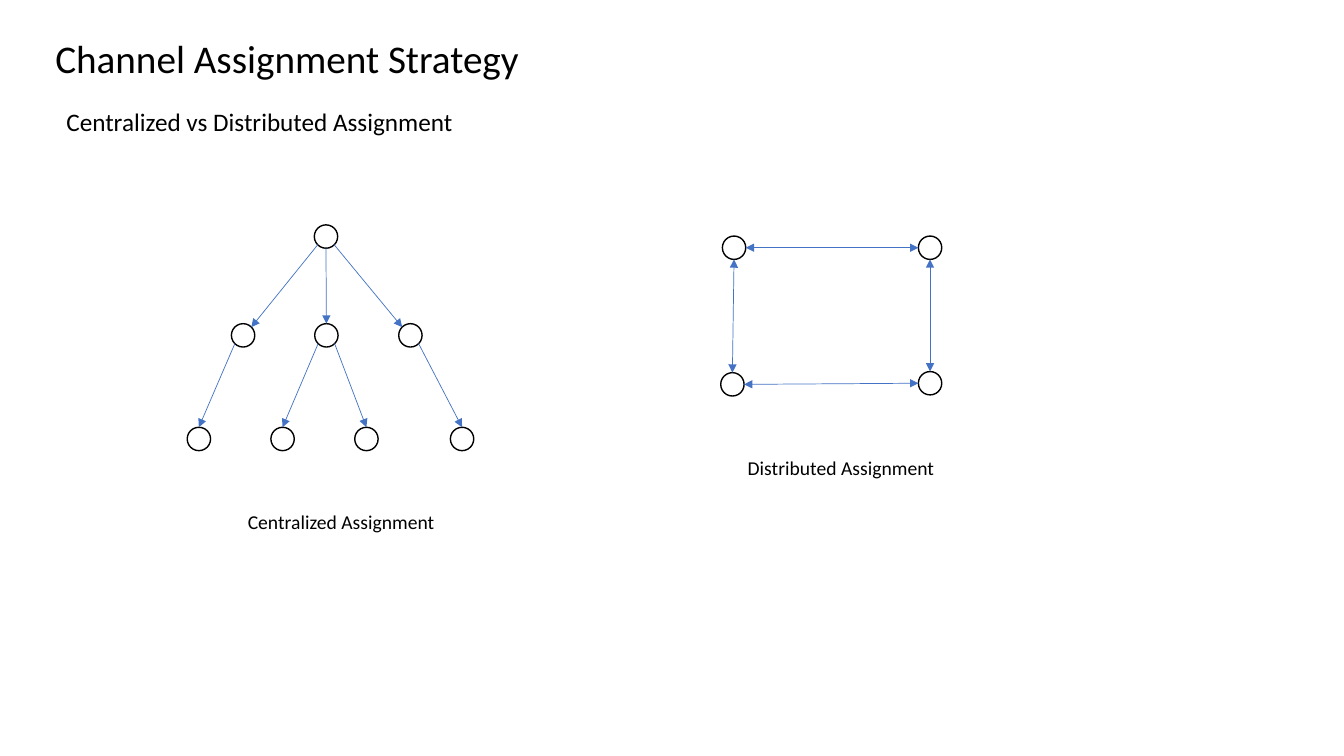
"""Build a slide comparing centralized and distributed channel assignment."""
from lxml import etree
from pptx import Presentation
from pptx import util as u
from pptx.dml.color import RGBColor
from pptx.enum import shapes, text
from pptx.oxml.ns import qn


def rgb(value):
    return RGBColor.from_string(value)


deck = Presentation()
deck.slide_width, deck.slide_height = u.Pt(960), u.Pt(540)
slide = deck.slides.add_slide(deck.slide_layouts[6])

labels = [
    ("Channel Assignment Strategy", 28, 32.4, 20.9, 349.2, 41.2, False),
    ("Centralized vs Distributed Assignment", 18, 40.3, 72.7, 331.9, 29.1, True),
    ("Distributed Assignment", 14, 527, 321.8, 149, 24.3, False),
    ("Centralized Assignment", 14, 169.9, 360.7, 149, 24.3, False),
]
for wording, size, left, top, width, height, wraps in labels:
    label = slide.shapes.add_textbox(u.Pt(left), u.Pt(top), u.Pt(width), u.Pt(height))
    frame = label.text_frame
    frame.word_wrap = wraps
    frame.auto_size = text.MSO_AUTO_SIZE.SHAPE_TO_FIT_TEXT
    run = frame.paragraphs[0].add_run()
    run.text = wording
    run.font.size = u.Pt(size)
    run.font.name = "Calibri"
    run.font.color.rgb = rgb("000000")

diameter = 16.7
nodes = {
    "root": (224.5, 160.6),
    "left": (165.3, 231.2),
    "middle": (224.8, 231.2),
    "right": (284.8, 231.2),
    "leaf 1": (133.7, 305.2),
    "leaf 2": (193.5, 305.2),
    "leaf 3": (253.4, 305.2),
    "leaf 4": (321.7, 305.2),
    "top left": (516, 168.6),
    "top right": (656, 168.6),
    "bottom left": (514.8, 266.2),
    "bottom right": (656, 265.4),
}
for left, top in nodes.values():
    node = slide.shapes.add_shape(
        shapes.MSO_SHAPE.OVAL, u.Pt(left), u.Pt(top), u.Pt(diameter), u.Pt(diameter))
    node.shadow.inherit = False
    node.fill.solid()
    node.fill.fore_color.rgb = rgb("FFFFFF")
    node.line.color.rgb = rgb("000000")
    node.line.width = u.Pt(1)

near, far = 0.15, 0.85
rim = {
    "N": (0.5, 0), "S": (0.5, 1), "W": (0, 0.5), "E": (1, 0.5),
    "NW": (near, near), "NE": (far, near), "SW": (near, far), "SE": (far, far),
}
one_way, two_way = ["tailEnd"], ["headEnd", "tailEnd"]
links = [
    ("root", "SW", "left", "NE", one_way),
    ("root", "S", "middle", "N", one_way),
    ("root", "SE", "right", "NW", one_way),
    ("left", "SW", "leaf 1", "N", one_way),
    ("middle", "SW", "leaf 2", "N", one_way),
    ("middle", "SE", "leaf 3", "N", one_way),
    ("right", "SE", "leaf 4", "N", one_way),
    ("top left", "S", "bottom left", "N", two_way),
    ("top right", "W", "top left", "E", two_way),
    ("top right", "S", "bottom right", "N", two_way),
    ("bottom right", "W", "bottom left", "E", two_way),
]
for source, exit_side, target, entry_side, arrowheads in links:
    ends = [
        u.Pt(corner + share * diameter)
        for name, side in ((source, exit_side), (target, entry_side))
        for corner, share in zip(nodes[name], rim[side])
    ]
    link = slide.shapes.add_connector(shapes.MSO_CONNECTOR.STRAIGHT, *ends)
    link.line.color.rgb = rgb("4472C4")
    link.line.width = u.Pt(0.5)
    outline = link.line._get_or_add_ln()
    for arrowhead in arrowheads:
        etree.SubElement(outline, qn(f"a:{arrowhead}"), type="triangle")
    etree.SubElement(link._element.spPr, qn("a:effectLst"))

deck.save("out.pptx")
